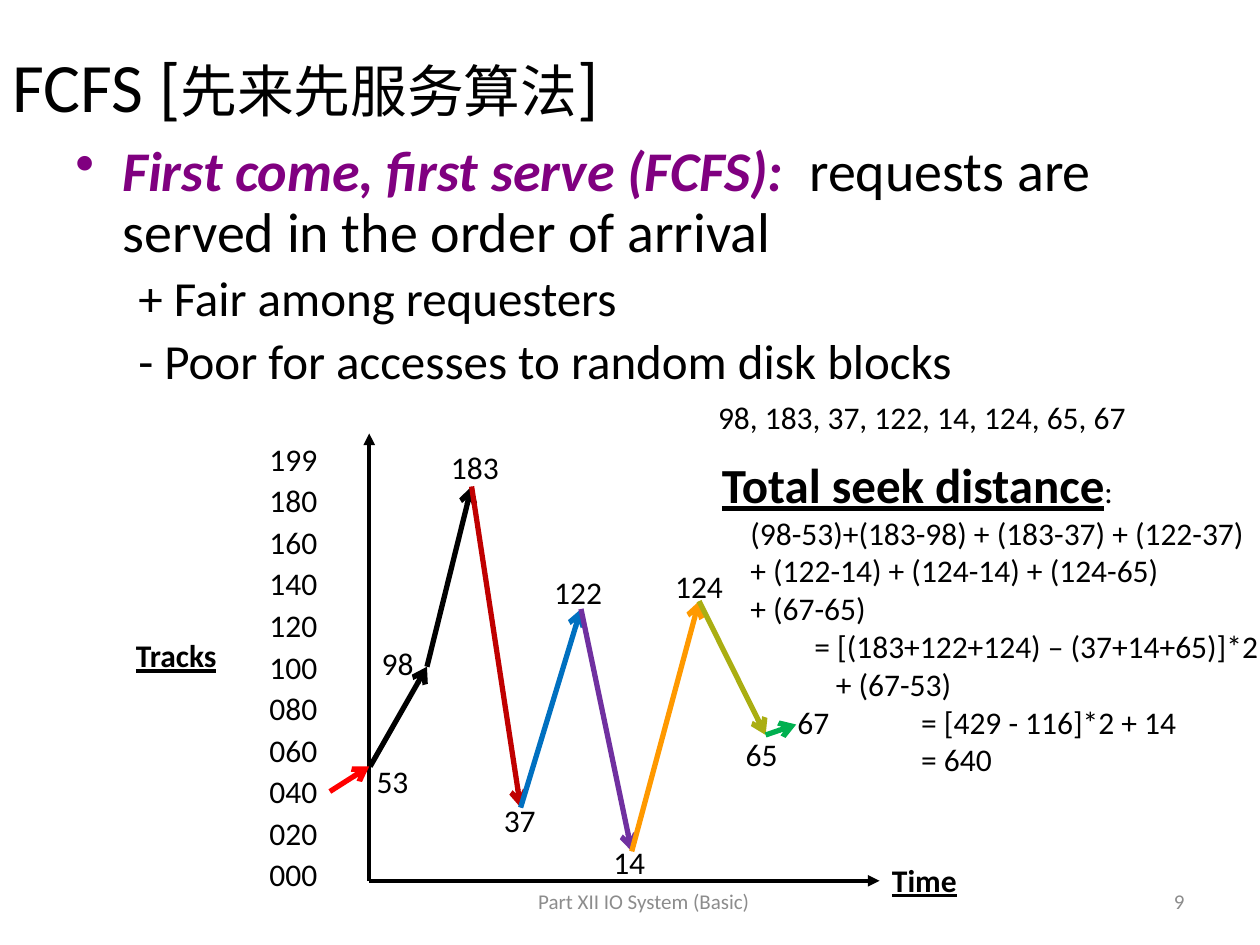
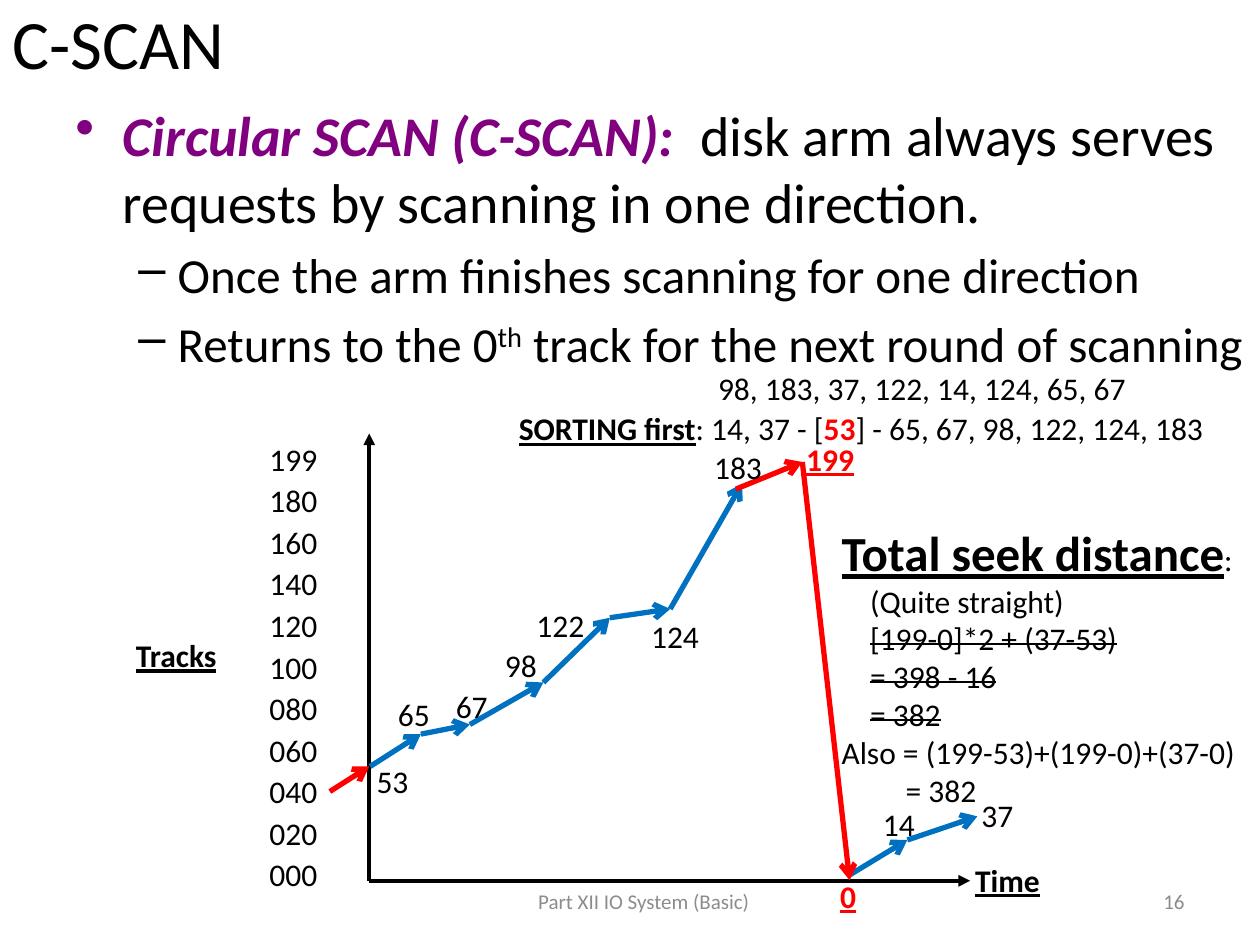
"""Build two slides on disk scheduling: FCFS and C-SCAN."""
from itertools import pairwise

from lxml import etree
from pptx import Presentation
from pptx.dml.color import RGBColor
from pptx.enum import shapes, text
from pptx.oxml.ns import qn
from pptx.util import Pt

FONT = "Calibri"
BLACK, RED, BLUE, PURPLE, GREY = "000000", "FF0000", "0070C0", "800080", "8C8C8C"
FOOTER = "Part XII IO System (Basic)"
TRACKS = ["199", "180", "160", "140", "120", "100", "080", "060", "040", "020", "000"]
REQUESTS = "98, 183, 37, 122, 14, 124, 65, 67"
ORIGIN = (211, 503.3)
AXIS_TOP = 247.7
TRACK_STEP = 23.76
LABEL_HEIGHT = 28.8

TERM = {"bold": True, "italic": True, "color": PURPLE}
HEADING = {"bold": True, "underline": True}
RED_HEADING = {**HEADING, "color": RED}
STRUCK = {"strike": "sngStrike"}
TOTAL = [("Total seek distance", {**HEADING, "size": 28}), ":"]

SLIDES = [
    {
        "title": ["FCFS [", ("先来先服务算法", {"size": 32.4}), "]"],
        "title_top": 22.3,
        "number": "9",
        "body_top": 78.5,
        "line_spacing": 0.9,
        "bullet": None,
        "body": [
            [("First come, first serve (FCFS):", TERM),
             "  requests are served in the order of arrival"],
            ["+ Fair among requesters"],
            ["- Poor for accesses to random disk blocks"],
        ],
        "time_end": 502.6,
        "time_label": (502.6, 488.2),
        "requests_top": 223.9,
        "paths": [
            ([(211.5, 438), (244, 381), (269.5, 278), (297.5, 461.5), (332, 348),
              (361, 486.5), (399.5, 343.5), (437.5, 420), (455, 414)],
             [BLACK, BLACK, "C00000", BLUE, "7030A0", "FF9900", "AAAE12", "00B050"]),
        ],
        "labels": [
            ("98", 211, 364.3), ("183", 250.6, 252.7), ("37", 280.8, 454.3),
            ("122", 309.6, 324), ("14", 343.4, 478.1), ("124", 378.7, 320.4),
            ("65", 419, 416.2), ("67", 448.6, 398.2),
        ],
        "red_labels": [],
        "sorting": [],
        "distance_at": (405.4, 256.3, 325.4, 193.7),
        "distance": [
            (16.3, "(98-53)+(183-98) + (183-37) + (122-37)", {}),
            (16.3, "+ (122-14) + (124-14) + (124-65)", {}),
            (16.3, "+ (67-65)", {}),
            (52.9, "= [(183+122+124) – (37+14+65)]*2", {}),
            (65.1, "+ (67-53)", {}),
            (113.9, "= [429 - 116]*2 + 14", {}),
            (113.9, "= 640", {}),
        ],
    },
    {
        "title": ["C-SCAN"],
        "title_top": -2.2,
        "number": "16",
        "body_top": 54,
        "line_spacing": 1.0,
        "bullet": "–",
        "body": [
            [("Circular SCAN (C-SCAN):", TERM),
             "  disk arm always serves requests by scanning in one direction."],
            ["Once the arm finishes scanning for one direction"],
            ["Returns to the 0", ("th", {"baseline": "30000"}),
             " track for the next round of scanning"],
        ],
        "time_end": 554.4,
        "time_label": (550.1, 488.2),
        "requests_top": 207.4,
        "paths": [
            ([(211.5, 438), (240.5, 419.5), (268.5, 414), (310.5, 390),
              (348.5, 353), (383, 348), (424, 276.5)], [BLUE] * 6),
            ([(485.5, 500), (518.5, 480), (558.5, 466.5)], [BLUE] * 2),
            ([(420.5, 279.5), (458.5, 264), (485.5, 503)], [RED] * 2),
        ],
        "labels": [
            ("65", 220.3, 393.8), ("67", 253.4, 388.8), ("98", 281.5, 365.8),
            ("122", 299.5, 342.7), ("124", 365, 349.2), ("183", 401, 252.7),
            ("14", 497.5, 456.5), ("37", 553.7, 451.4),
        ],
        "red_labels": [("199", 453.6, 247.7), ("0", 473, 497.5)],
        "sorting": [("SORTING first", HEADING), ": 14, 37 - [",
                    ("53", {"bold": True, "color": RED}),
                    "] - 65, 67, 98, 122, 124, 183"],
        "distance_at": (473.8, 295.2, 251.3, 172.1),
        "distance": [
            (16.3, "(Quite straight)", {}),
            (16.3, "[199-0]*2 + (37-53)", STRUCK),
            (16.3, "= 398 - 16", STRUCK),
            (16.3, "= 382", STRUCK),
            (0, "Also = (199-53)+(199-0)+(37-0)", {}),
            (36.6, "= 382", {}),
        ],
    },
]


def rgb(color):
    """Turn a hex string into a colour."""
    return RGBColor.from_string(color)


def write(paragraph, runs, size, color=BLACK):
    """Fill a paragraph with plain strings and (string, style) pairs."""
    paragraph.font.name = FONT
    paragraph.font.size = Pt(size)
    paragraph.font.color.rgb = rgb(color)
    for item in runs:
        words, style = (item, {}) if isinstance(item, str) else item
        run = paragraph.add_run()
        run.text = words
        run.font.name = FONT
        run.font.size = Pt(style.get("size", size))
        run.font.color.rgb = rgb(style.get("color", color))
        for name in ("bold", "italic", "underline"):
            if name in style:
                setattr(run.font, name, style[name])
        for name in ("strike", "baseline"):
            if name in style:
                run._r.get_or_add_rPr().set(name, style[name])


def add_box(slide, left, top, width, height, wrap=True):
    """Add an empty text box and return its text frame."""
    frame = slide.shapes.add_textbox(Pt(left), Pt(top), Pt(width), Pt(height)).text_frame
    frame.word_wrap = wrap
    return frame


def add_label(slide, runs, left, top, width):
    """Add a one-line label of the diagram."""
    frame = add_box(slide, left, top, width, LABEL_HEIGHT, wrap=False)
    write(frame.paragraphs[0], runs, 18)


def add_number(slide, number, left, top, style=None):
    """Add a track number in a box as wide as its digits need."""
    add_label(slide, [(number, style or {})], left, top, 14.4 + 9.13 * len(number))


def add_arrow(slide, start, end, color, width=3, head="arrow"):
    """Draw a straight arrow."""
    line = slide.shapes.add_connector(
        shapes.MSO_CONNECTOR.STRAIGHT, *(Pt(value) for value in (*start, *end)))
    line.line.color.rgb = rgb(color)
    line.line.width = Pt(width)
    etree.SubElement(line.line._get_or_add_ln(), qn("a:tailEnd"), type=head)
    etree.SubElement(line._element.spPr, qn("a:effectLst"))


def add_title(slide, runs, top):
    """Place and fill the title placeholder."""
    title = slide.shapes.title
    title.left, title.top, title.width, title.height = Pt(0), Pt(top), Pt(648), Pt(51.8)
    frame = title.text_frame
    frame.auto_size = text.MSO_AUTO_SIZE.NONE
    frame.vertical_anchor = text.MSO_ANCHOR.MIDDLE
    frame.paragraphs[0].alignment = text.PP_ALIGN.LEFT
    write(frame.paragraphs[0], runs, 39.6)


def add_body(slide, content):
    """Add the definition and its two points."""
    frame = add_box(slide, 36, content["body_top"], 684, 404)
    for index, runs in enumerate(content["body"]):
        paragraph = frame.add_paragraph() if index else frame.paragraphs[0]
        size, margin, hanging, bullet = (
            (28, 58.5, 22.5, content["bullet"]) if index else (32, 27, 27, "•"))
        write(paragraph, runs, size)
        paragraph.level = min(index, 1)
        paragraph.line_spacing = content["line_spacing"]
        paragraph.space_before = Pt(size * 0.2)
        properties = paragraph._p.get_or_add_pPr()
        properties.set("marL", str(Pt(margin)))
        properties.set("indent", str(-Pt(hanging)))
        if bullet:
            mark = etree.Element(qn("a:buChar"), char=bullet)
            properties.insert_element_before(mark, "a:tabLst", "a:defRPr", "a:extLst")


def add_footer(slide, number):
    """Add the footer text and the slide number."""
    for words, left, width, alignment in (
            (FOOTER, 246.2, 243.4, text.PP_ALIGN.CENTER),
            (number, 516.2, 167.8, text.PP_ALIGN.RIGHT)):
        frame = add_box(slide, left, 500.4, width, LABEL_HEIGHT)
        frame.vertical_anchor = text.MSO_ANCHOR.MIDDLE
        frame.paragraphs[0].alignment = alignment
        write(frame.paragraphs[0], [words], 12, GREY)


def add_axes(slide, content):
    """Draw both axes with the track scale and the starting head move."""
    for end in ((ORIGIN[0], AXIS_TOP), (content["time_end"], ORIGIN[1])):
        add_arrow(slide, ORIGIN, end, BLACK, 2.25, "triangle")
    for index, track in enumerate(TRACKS):
        add_number(slide, track, 146.9, AXIS_TOP + TRACK_STEP * index)
    add_label(slide, [("Tracks", HEADING)], 70.6, 360, 61.2)
    add_label(slide, [("Time", HEADING)], *content["time_label"], 51.8)
    add_arrow(slide, (188.5, 452.3), (211, 438), RED)
    add_number(slide, "53", 208.1, 432)


def add_seeks(slide, content):
    """Draw the head moves and label the tracks they reach."""
    for points, colors in content["paths"]:
        for (start, end), color in zip(pairwise(points), colors):
            add_arrow(slide, start, end, color)
    for label in content["labels"]:
        add_number(slide, *label)
    for label in content["red_labels"]:
        add_number(slide, *label, RED_HEADING)


def add_distance(slide, content):
    """Add the seek distance sum, each line set in by a tab stop."""
    frame = add_box(slide, *content["distance_at"])
    write(frame.paragraphs[0], TOTAL, 18)
    for indent, words, style in content["distance"]:
        paragraph = frame.add_paragraph()
        write(paragraph, [("\t" + words if indent else words, style)], 18)
        if indent:
            stops = etree.Element(qn("a:tabLst"))
            etree.SubElement(stops, qn("a:tab"), pos=str(Pt(indent)), algn="l")
            paragraph._p.get_or_add_pPr().insert_element_before(
                stops, "a:defRPr", "a:extLst")


def main():
    """Build and save the presentation."""
    presentation = Presentation()
    presentation.slide_width, presentation.slide_height = Pt(720), Pt(540)
    for content in SLIDES:
        slide = presentation.slides.add_slide(presentation.slide_layouts[5])
        add_title(slide, content["title"], content["title_top"])
        add_body(slide, content)
        add_footer(slide, content["number"])
        add_axes(slide, content)
        add_label(slide, [REQUESTS], 403.2, content["requests_top"], 250.6)
        if content["sorting"]:
            add_label(slide, content["sorting"], 289.4, 230.4, 407.5)
        add_distance(slide, content)
        add_seeks(slide, content)
    presentation.save("out.pptx")


if __name__ == "__main__":
    main()
